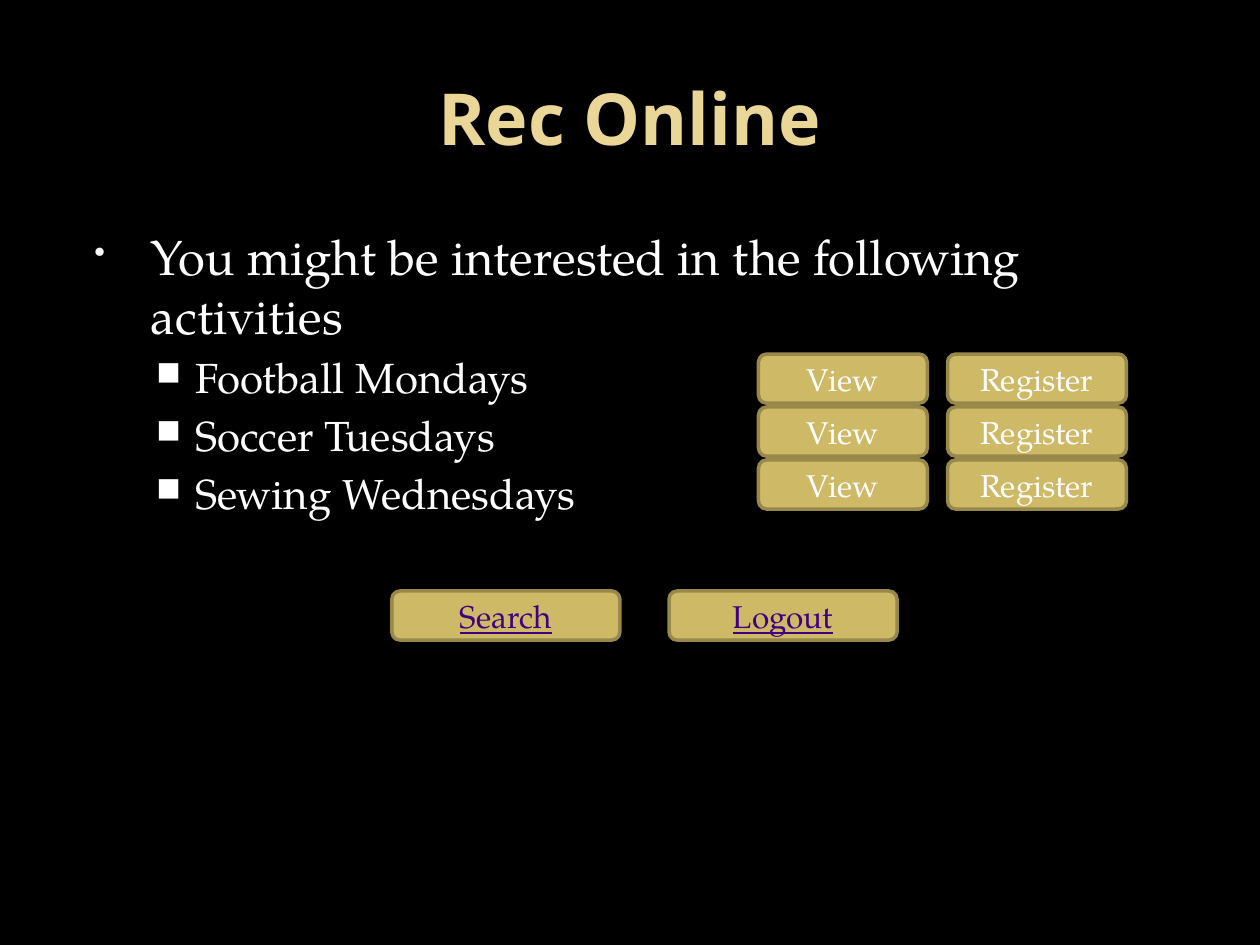
from lxml.etree import SubElement
from pptx import Presentation
from pptx.dml.color import RGBColor
from pptx.enum.shapes import MSO_SHAPE
from pptx.enum.text import MSO_ANCHOR, PP_ALIGN
from pptx.oxml.ns import qn
from pptx.util import Inches, Pt

BLACK = RGBColor(0x00, 0x00, 0x00)
WHITE = RGBColor(0xFF, 0xFF, 0xFF)
OFF_WHITE = RGBColor(0xF9, 0xF9, 0xF9)
CREAM = RGBColor(0xEA, 0xD6, 0x96)
GOLD = RGBColor(0xCE, 0xB9, 0x66)
BRONZE = RGBColor(0x98, 0x89, 0x4B)
PURPLE = RGBColor(0x41, 0x00, 0x82)
HEAD_FONT, BODY_FONT = "Noto Sans", "TeX Gyre Pagella"

TITLE = "Rec Online"
INTRO = "You might be interested in the following activities"
ACTIVITIES = ["Football Mondays", "Soccer Tuesdays", "Sewing Wednesdays"]
ACTIONS = [("View", 6.02, 1.34), ("Register", 7.52, 1.42)]
LINKS = ["Search", "Logout"]

MARGIN, CONTENT_W = 0.5, 9
BUTTON_H = 0.39
ACTION_TOP, ACTION_STEP = 2.81, 0.42
LINK_LEFT, LINK_TOP, LINK_W, LINK_STEP = 3.11, 4.69, 1.81, 2.2


def style(p, size, color, name=BODY_FONT, bold=False, underline=False):
    for r in p.runs:
        f = r.font
        f.name, f.size, f.bold, f.underline = name, Pt(size), bold, underline
        f.color.rgb = color


def add_text(slide, top, height):
    box = slide.shapes.add_textbox(
        Inches(MARGIN), Inches(top), Inches(CONTENT_W), Inches(height))
    box.text_frame.word_wrap = True
    return box.text_frame


def add_bullet(p, char, color, percent, margin, indent):
    pPr = p._p.get_or_add_pPr()
    pPr.set("marL", str(Inches(margin)))
    pPr.set("indent", str(Inches(indent)))
    clr = SubElement(pPr, qn("a:buClr"))
    SubElement(clr, qn("a:srgbClr"), val=str(color))
    SubElement(pPr, qn("a:buSzPct"), val=str(percent * 1000))
    SubElement(pPr, qn("a:buChar"), char=char)


def add_button(slide, label, left, top, width, color=WHITE, underline=False):
    sp = slide.shapes.add_shape(
        MSO_SHAPE.ROUNDED_RECTANGLE,
        Inches(left), Inches(top), Inches(width), Inches(BUTTON_H))
    sp.shadow.inherit = False
    sp.fill.solid()
    sp.fill.fore_color.rgb = GOLD
    sp.line.color.rgb = BRONZE
    sp.line.width = Pt(2)
    tf = sp.text_frame
    tf.text = label
    tf.vertical_anchor = MSO_ANCHOR.MIDDLE
    p = tf.paragraphs[0]
    p.alignment = PP_ALIGN.CENTER
    style(p, 18, color, underline=underline)


def main():
    prs = Presentation()
    prs.slide_width, prs.slide_height = Inches(10), Inches(7.5)
    slide = prs.slides.add_slide(prs.slide_layouts[6])
    slide.background.fill.solid()
    slide.background.fill.fore_color.rgb = BLACK

    tf = add_text(slide, 0.3, 1.25)
    tf.text = TITLE
    tf.vertical_anchor = MSO_ANCHOR.MIDDLE
    tf.paragraphs[0].alignment = PP_ALIGN.CENTER
    style(tf.paragraphs[0], 41, CREAM, HEAD_FONT, bold=True)

    tf = add_text(slide, 1.75, 5.15)
    tf.text = INTRO
    p = tf.paragraphs[0]
    add_bullet(p, "•", OFF_WHITE, 65, 0.6, -0.45)
    style(p, 28, WHITE)
    for activity in ACTIVITIES:
        p = tf.add_paragraph()
        p.text = activity
        p.level = 1
        add_bullet(p, "■", WHITE, 80, 0.95, -0.31)
        p.space_before = Pt(4.3)
        style(p, 24, WHITE)

    for row in range(len(ACTIVITIES)):
        for label, left, width in ACTIONS:
            add_button(slide, label, left, ACTION_TOP + row * ACTION_STEP, width)
    for col, label in enumerate(LINKS):
        add_button(slide, label, LINK_LEFT + col * LINK_STEP, LINK_TOP, LINK_W,
                   PURPLE, underline=True)

    prs.save("out.pptx")


if __name__ == "__main__":
    main()
